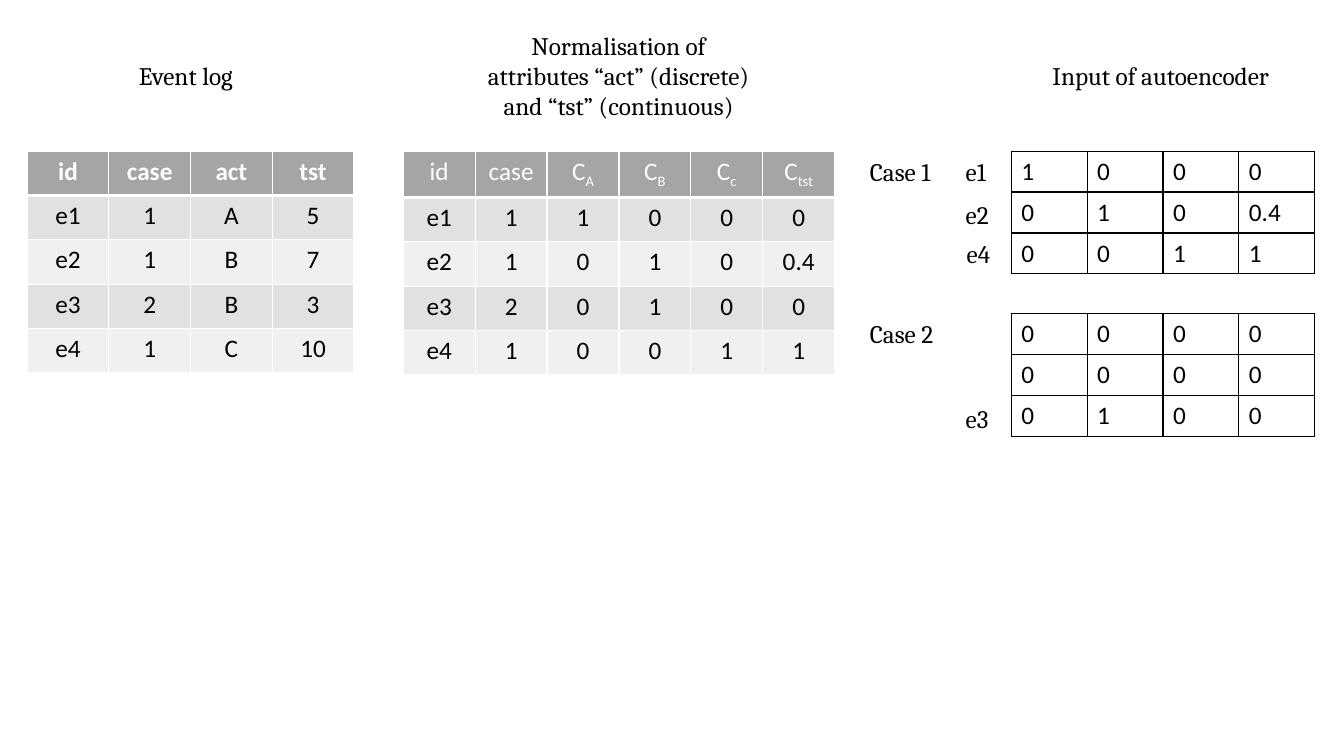
"""Build a slide showing how an event log becomes the input of an autoencoder."""
from dataclasses import dataclass

import pptx
import pptx.dml.color
import pptx.enum.text
import pptx.oxml
import pptx.oxml.ns
import pptx.util

EMU_PER_PX = 9144
FONT_SIZE = pptx.util.Pt(18)
CENTER = pptx.enum.text.PP_ALIGN.CENTER
LEFT = pptx.enum.text.PP_ALIGN.LEFT
COLORS = {"text": "000000", "white": "FFFFFF", "header": "A5A5A5",
          "odd": "E1E1E1", "even": "F0F0F0"}


@dataclass(frozen=True)
class Table:
    x: int
    y: int
    width: int
    header_height: int
    row_height: int
    rows: tuple[str, ...]
    banded: bool = False
    bold_header: bool = False


@dataclass(frozen=True)
class Label:
    text: str
    x: int
    y: int
    width: int
    height: int = 40
    align: pptx.enum.text.PP_ALIGN = LEFT
    wrap: bool = True


TABLES = (
    Table(27, 150, 324, 44, 44,
          ("id case act tst", "e1 1 A 5", "e2 1 B 7", "e3 2 B 3", "e4 1 C 10"),
          banded=True, bold_header=True),
    Table(400, 150, 428, 46, 44,
          ("id case C_A C_B C_c C_tst", "e1 1 1 0 0 0", "e2 1 0 1 0 0.4",
           "e3 2 0 1 0 0", "e4 1 0 0 1 1"), banded=True),
    Table(1003, 150, 301, 40, 40, ("1 0 0 0", "0 1 0 0.4", "0 0 1 1")),
    Table(1003, 311, 301, 40, 40, ("0 0 0 0", "0 0 0 0", "0 1 0 0")),
)
LABELS = (
    Label("Case 1", 853, 150, 94),
    Label("Case 2", 853, 311, 94),
    Label("e1", 948, 150, 56),
    Label("e2", 948, 193, 56),
    Label("e4", 949, 232, 56),
    Label("e3", 948, 395, 56),
    Label("Event log", 128, 55, 123),
    Label("Normalisation of\nattributes “act” (discrete)\nand “tst” (continuous)",
          466, 25, 295, 101, align=CENTER),
    Label("Input of autoencoder", 1034, 55, 247, wrap=False),
)


def px(n: int) -> pptx.util.Emu:
    """Turn px into EMU."""
    return pptx.util.Emu(n * EMU_PER_PX)


def rgb(name: str) -> pptx.dml.color.RGBColor:
    """Look up a named colour."""
    return pptx.dml.color.RGBColor.from_string(COLORS[name])


def format_paragraph(p, face: str, color: str, align, bold: bool = False) -> None:
    """Set the font and alignment of a paragraph."""
    p.alignment = align
    p.font.name = face
    p.font.size = FONT_SIZE
    p.font.bold = bold
    p.font.color.rgb = rgb(color)


def add_borders(cell, color: str, bottom: int) -> None:
    """Draw the four cell borders, with the bottom width given in points."""
    tc_pr = cell._tc.get_or_add_tcPr()
    for side, points in (("L", 1), ("R", 1), ("T", 1), ("B", bottom)):
        tc_pr.append(pptx.oxml.parse_xml(
            f'<a:ln{side} {pptx.oxml.ns.nsdecls("a")} w="{pptx.util.Pt(points)}">'
            f'<a:solidFill><a:srgbClr val="{COLORS[color]}"/></a:solidFill>'
            f'</a:ln{side}>'))


def fill_cell(cell, text: str, spec_table: Table, row: int) -> None:
    """Write and format one cell, lowering what follows an underscore."""
    banded = spec_table.banded
    header = banded and row == 0
    add_borders(cell, "white" if banded else "text", 3 if header else 1)
    if banded:
        cell.fill.solid()
        cell.fill.fore_color.rgb = rgb("header" if header else "odd" if row % 2 else "even")
    else:
        cell.fill.background()
    p = cell.text_frame.paragraphs[0]
    format_paragraph(p, "Calibri", "white" if header else "text",
                     CENTER if banded else LEFT, header and spec_table.bold_header)
    base, _, subscript = text.partition("_")
    p.add_run().text = base
    if subscript:
        r = p.add_run()
        r.text = subscript
        r._r.get_or_add_rPr().set("baseline", "-25000")


def add_table(s, table: Table) -> None:
    """Add a table with equal columns."""
    rows = [row.split() for row in table.rows]
    columns = len(rows[0])
    height = table.header_height + table.row_height * (len(rows) - 1)
    tbl = s.shapes.add_table(len(rows), columns, px(table.x), px(table.y),
                             px(table.width), px(height)).table
    tbl.first_row = tbl.horz_banding = False
    for column in tbl.columns:
        column.width = px(table.width) // columns
    for i, values in enumerate(rows):
        tbl.rows[i].height = px(table.row_height if i else table.header_height)
        for j, value in enumerate(values):
            fill_cell(tbl.cell(i, j), value, table, i)


def add_label(s, label: Label) -> None:
    """Add a text box with one paragraph per line."""
    sp = s.shapes.add_textbox(px(label.x), px(label.y), px(label.width), px(label.height))
    tf = sp.text_frame
    tf.word_wrap = label.wrap
    tf.auto_size = pptx.enum.text.MSO_AUTO_SIZE.SHAPE_TO_FIT_TEXT
    tf.text = label.text
    for p in tf.paragraphs:
        format_paragraph(p, "Cambria", "text", label.align)


def main() -> None:
    """Build and save the slide."""
    prs = pptx.Presentation()
    prs.slide_width, prs.slide_height = px(1333), px(750)
    s = prs.slides.add_slide(prs.slide_layouts.get_by_name("Blank"))
    for table in TABLES:
        add_table(s, table)
    for label in LABELS:
        add_label(s, label)
    prs.save("out.pptx")


if __name__ == "__main__":
    main()
